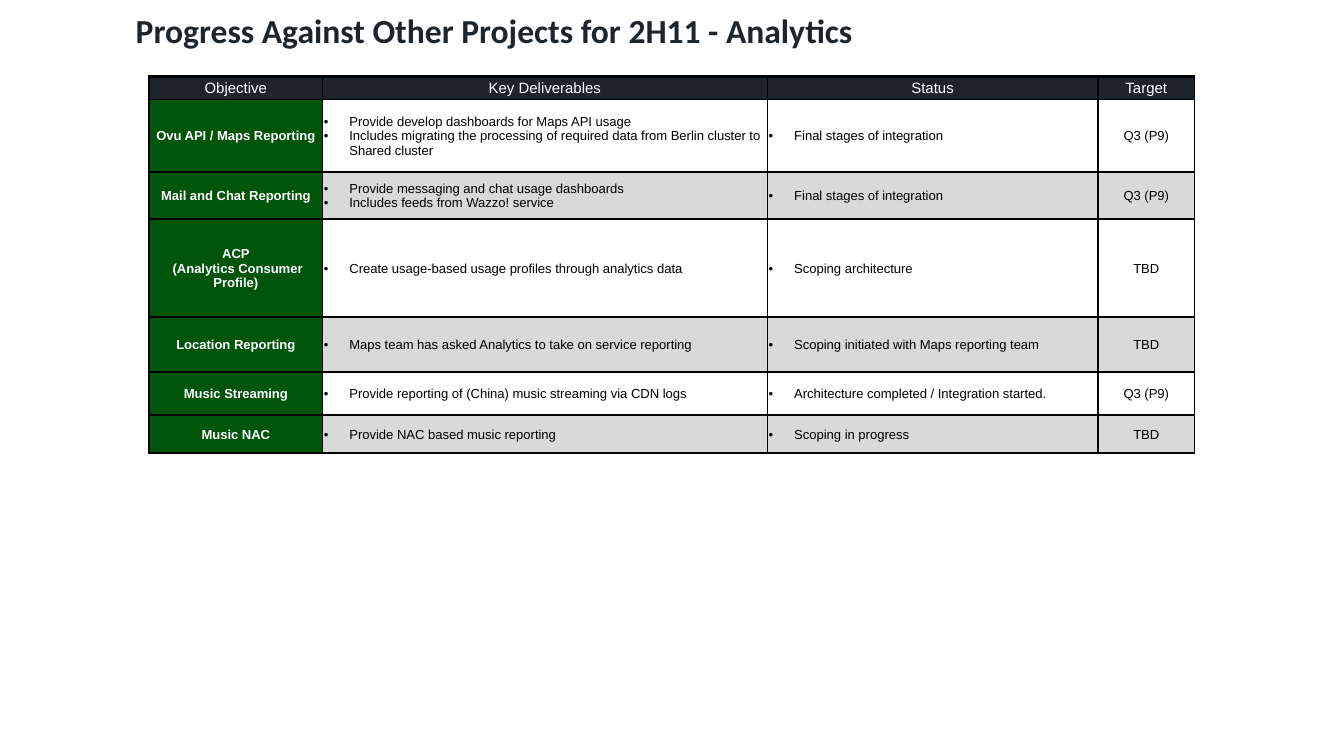
from dataclasses import dataclass

from lxml.etree import SubElement
from pptx import Presentation
from pptx.dml.color import RGBColor
from pptx.enum.text import MSO_ANCHOR, PP_ALIGN
from pptx.oxml.ns import qn
from pptx.slide import Slide
from pptx.table import Table, _Cell
from pptx.util import Inches, Pt

NAVY, GREEN, GREY = "1D242C", "00550A", "D9D9D9"
WHITE, BLACK = "FFFFFF", "000000"
COLUMN_WIDTHS = [1.29, 3.31, 2.46, 0.72]
HEADER_HEIGHT = 0.17
HEADINGS = ["Objective", "Key Deliverables", "Status", "Target"]


@dataclass
class Project:
    objective: str
    deliverables: str
    status: str
    target: str
    height: float


@dataclass
class CellStyle:
    fill: str
    color: str = BLACK
    size: float = 7
    bold: bool = False
    bulleted: bool = False
    top_line: float = 1


PROJECTS = [
    Project(
        "Ovu API / Maps Reporting",
        "Provide develop dashboards for Maps API usage\n"
        "Includes migrating the processing of required data from Berlin cluster to Shared cluster",
        "Final stages of integration", "Q3 (P9)", 0.54,
    ),
    Project(
        "Mail and Chat Reporting",
        "Provide messaging and chat usage dashboards\nIncludes feeds from Wazzo! service",
        "Final stages of integration", "Q3 (P9)", 0.35,
    ),
    Project(
        "ACP\n (Analytics Consumer Profile)",
        "Create usage-based usage profiles through analytics data",
        "Scoping architecture", "TBD", 0.73,
    ),
    Project(
        "Location Reporting",
        "Maps team has asked Analytics to take on service reporting",
        "Scoping initiated with Maps reporting team", "TBD", 0.41,
    ),
    Project(
        "Music Streaming",
        "Provide reporting of (China) music streaming via CDN logs",
        "Architecture completed / Integration started.", "Q3 (P9)", 0.32,
    ),
    Project(
        "Music NAC", "Provide NAC based music reporting",
        "Scoping in progress", "TBD", 0.28,
    ),
]


def rgb(value: str) -> RGBColor:
    return RGBColor.from_string(value)


def add_title(s: Slide, text: str) -> None:
    tf = s.shapes.add_textbox(Inches(1.01), Inches(0.04), Inches(7.19), Inches(0.38)).text_frame
    tf.word_wrap = True
    tf.margin_left = tf.margin_top = tf.margin_right = tf.margin_bottom = 0
    tf.vertical_anchor = MSO_ANCHOR.TOP
    tf.text = text
    p = tf.paragraphs[0]
    p.line_spacing = Pt(24)
    font = p.runs[0].font
    font.name, font.size, font.bold = "Calibri", Pt(18), True
    font.color.rgb = rgb(NAVY)


def set_borders(cell: _Cell, top: float) -> None:
    tc_pr = cell._tc.get_or_add_tcPr()
    for side, width in {"L": 1, "R": 1, "T": top, "B": 1}.items():
        line = SubElement(tc_pr, qn(f"a:ln{side}"), w=str(Pt(width)))
        fill = SubElement(line, qn("a:solidFill"))
        SubElement(fill, qn("a:srgbClr"), val=BLACK)


def fill_cell(cell: _Cell, text: str, style: CellStyle) -> None:
    set_borders(cell, style.top_line)
    cell.fill.solid()
    cell.fill.fore_color.rgb = rgb(style.fill)
    cell.margin_left = cell.margin_top = cell.margin_right = Inches(0.01)
    cell.margin_bottom = 0
    cell.vertical_anchor = MSO_ANCHOR.MIDDLE
    cell.text_frame.text = text
    for p in cell.text_frame.paragraphs:
        if style.bulleted:
            p_pr = p._p.get_or_add_pPr()
            p_pr.set("marL", str(Inches(0.19)))
            p_pr.set("indent", str(-Inches(0.19)))
            SubElement(p_pr, qn("a:buFont"), typeface="Arial")
            SubElement(p_pr, qn("a:buChar"), char="•")
        else:
            p.alignment = PP_ALIGN.CENTER
        font = p.runs[0].font
        font.name, font.size, font.bold = "Arial", Pt(style.size), style.bold
        font.color.rgb = rgb(style.color)


def fill_row(table: Table, row: int, height: float, texts: list[str], styles: list[CellStyle]) -> None:
    table.rows[row].height = Inches(height)
    for column, (text, style) in enumerate(zip(texts, styles)):
        fill_cell(table.cell(row, column), text, style)


def add_project_table(s: Slide) -> None:
    height = HEADER_HEIGHT + sum(project.height for project in PROJECTS)
    table = s.shapes.add_table(
        len(PROJECTS) + 1, len(HEADINGS),
        Inches(1.11), Inches(0.57), Inches(sum(COLUMN_WIDTHS)), Inches(height),
    ).table
    table.first_row = table.horz_banding = False
    for column, width in zip(table.columns, COLUMN_WIDTHS):
        column.width = Inches(width)

    heading = CellStyle(NAVY, WHITE, size=8, top_line=1.5)
    fill_row(table, 0, HEADER_HEIGHT, HEADINGS, [heading] * len(HEADINGS))

    objective = CellStyle(GREEN, WHITE, bold=True)
    for row, project in enumerate(PROJECTS, start=1):
        band = WHITE if row % 2 else GREY
        bullets = CellStyle(band, bulleted=True)
        texts = [project.objective, project.deliverables, project.status, project.target]
        fill_row(table, row, project.height, texts, [objective, bullets, bullets, CellStyle(band)])


def main() -> None:
    prs = Presentation()
    prs.slide_width = Inches(10)
    prs.slide_height = prs.slide_width * 9 // 16
    s = prs.slides.add_slide(prs.slide_layouts[6])
    add_title(s, "Progress Against Other Projects for 2H11 - Analytics")
    add_project_table(s)
    prs.save("out.pptx")


if __name__ == "__main__":
    main()
